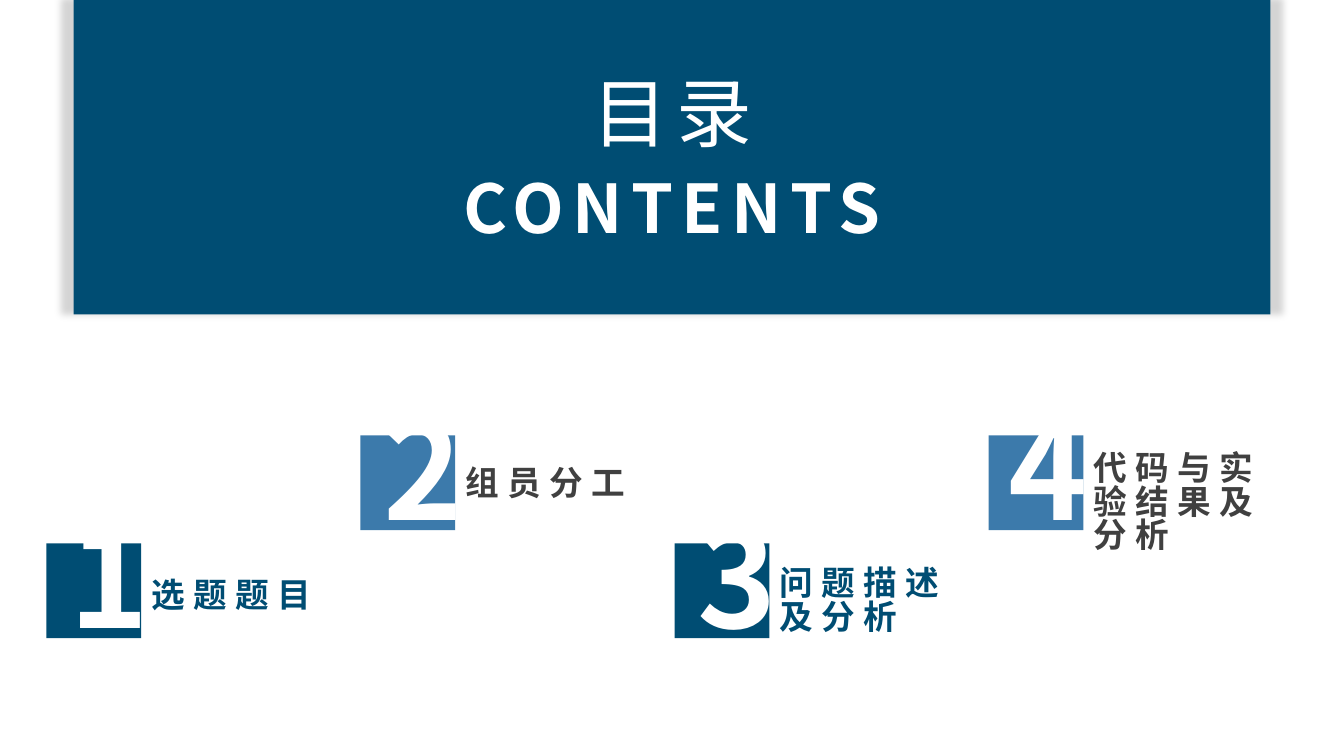
from lxml.etree import SubElement
from pptx import Presentation
from pptx.dml.color import RGBColor
from pptx.enum.shapes import MSO_SHAPE as Shape
from pptx.enum.text import MSO_ANCHOR as Anchor, PP_ALIGN as Align
from pptx.oxml.ns import qn
from pptx.util import Inches, Pt

COLORS = {"white": "FFFFFF", "navy": "004D73", "blue": "3C7AAB", "gray": "404040"}
SANS = "Noto Sans CJK SC"
CARD_LEFT, CARD_PITCH, SQUARE_SIZE = 0.46, 3.115, 0.94
UPPER_ROW, LOWER_ROW = 4.32, 5.39

# number offset, label offset, label height
ENTRIES = [
    ("选题题目", 0.13, 0, 0.72),
    ("组员分工", 0.13, 0.26, 0.42),
    ("问题描述及分析", 0.13, 0, 0.94),
    ("代码与实验结果及分析", 0.1, 0, 1.2),
]


def add_block(slide, box, color, preset=Shape.RECTANGLE):
    """Add a plain filled shape without outline or shadow."""
    block = slide.shapes.add_shape(preset, *map(Inches, box))
    block.shadow.inherit = False
    block.fill.solid()
    block.fill.fore_color.rgb = RGBColor.from_string(COLORS[color])
    block.line.fill.background()
    return block


def add_side_shadow(block):
    """Give a block a soft shadow that is slightly wider than itself."""
    effects = block._element.spPr.find(qn("a:effectLst"))
    shadow = SubElement(effects, qn("a:outerShdw"), blurRad=str(Pt(5)), sx="102000",
                        algn="ctr", rotWithShape="0")
    black = SubElement(shadow, qn("a:srgbClr"), val="000000")
    SubElement(black, qn("a:alpha"), val="16000")


def add_text(slide, box, text, size, color, font=SANS, bold=True, spacing=0,
             align=Align.LEFT, anchor=Anchor.BOTTOM, line_spacing=0.9, margin=0.02):
    """Add a one-paragraph text box."""
    frame = slide.shapes.add_textbox(*map(Inches, box)).text_frame
    frame.word_wrap = True
    frame.vertical_anchor = anchor
    frame.margin_top = frame.margin_bottom = Inches(margin)
    paragraph = frame.paragraphs[0]
    paragraph.text = text
    paragraph.alignment = align
    paragraph.line_spacing = line_spacing
    style = paragraph.font
    style.size, style.bold, style.name = Pt(size), bold, font
    style.color.rgb = RGBColor.from_string(COLORS[color])
    properties = paragraph._p.pPr.find(qn("a:defRPr"))
    properties.set("spc", str(spacing * 100))
    SubElement(properties, qn("a:ea"), typeface=font)


def add_banner(slide):
    """Add the heading banner with its two titles."""
    add_block(slide, (0, 0.01, 13.33, 3.11), "white")
    add_side_shadow(add_block(slide, (0.73, -0.01, 11.87, 3.13), "navy"))
    heading = dict(color="white", spacing=6, align=Align.CENTER, margin=0)
    add_text(slide, (0.73, 1.41, 11.87, 1.05), "CONTENTS", 48, **heading)
    add_text(slide, (0.73, 0.52, 11.87, 1.05), "目录", 54, font="Roboto", bold=False,
             **heading)


def add_entry(slide, index, label, number_offset, label_offset, label_height):
    """Add one numbered entry, alternating between the two rows."""
    left = CARD_LEFT + index * CARD_PITCH
    top, square_color, label_color = (
        (UPPER_ROW, "blue", "gray") if index % 2 else (LOWER_ROW, "navy", "navy"))
    add_block(slide, (left, top, SQUARE_SIZE, SQUARE_SIZE), square_color)
    add_text(slide, (left + number_offset, top - 0.33, 0.95, 1.72), str(index + 1), 96,
             "white", anchor=Anchor.TOP)
    add_text(slide, (left + SQUARE_SIZE, top + label_offset, 2.12, label_height), label,
             24, label_color, spacing=6, line_spacing=0.83)


def main():
    """Build the contents slide."""
    deck = Presentation()
    deck.slide_width, deck.slide_height = Inches(13.33), Inches(7.5)
    slide = deck.slides.add_slide(deck.slide_layouts[6])
    add_banner(slide)
    for index, entry in enumerate(ENTRIES):
        add_entry(slide, index, *entry)
    deck.save("out.pptx")


if __name__ == "__main__":
    main()
